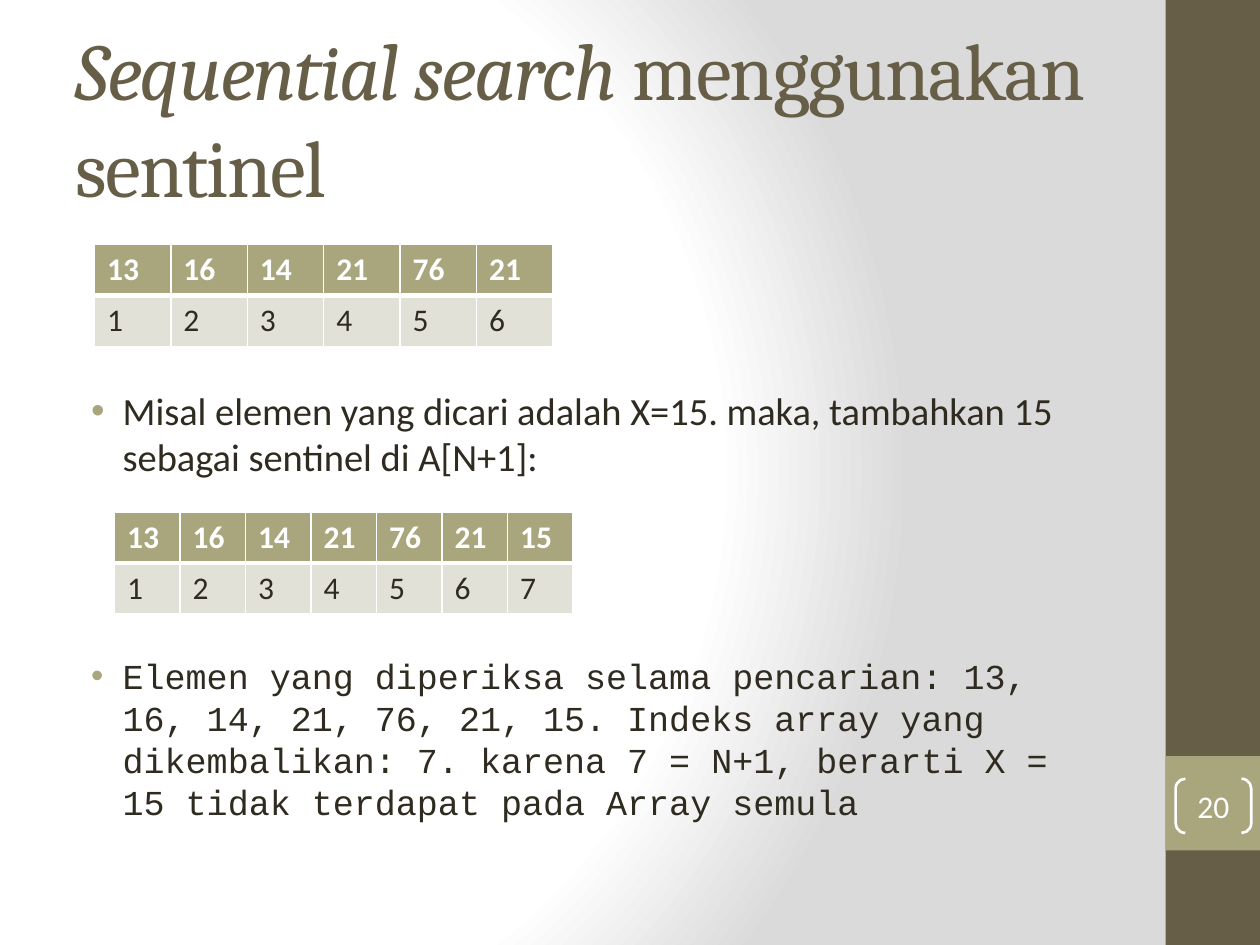
from dataclasses import dataclass

import lxml.etree
import pptx
import pptx.dml.color
import pptx.enum.shapes
import pptx.enum.text
import pptx.oxml
import pptx.oxml.ns
import pptx.util

Pt = pptx.util.Pt
qn = pptx.oxml.ns.qn
SHAPE = pptx.enum.shapes.MSO_SHAPE
ALIGN = pptx.enum.text.PP_ALIGN
ANCHOR = pptx.enum.text.MSO_ANCHOR


@dataclass(frozen=True)
class Theme:
    brown: str = "675E47"
    olive: str = "A9A57C"
    pale: str = "E2E1D7"
    ink: str = "2F2B20"
    white: str = "FFFFFF"
    gray: str = "DADADA"
    heading: str = "Cambria"
    body: str = "Calibri"
    mono: str = "Courier New"
    title_size: float = 46
    body_size: float = 22
    mono_size: float = 20
    cell_size: float = 18


@dataclass(frozen=True)
class Panel:
    top: float
    height: float
    color: str


@dataclass(frozen=True)
class ArrayTable:
    left: float
    top: float
    values: tuple[int, ...]


@dataclass(frozen=True)
class Bullet:
    text: str
    font: str
    size: float
    before: float


T = Theme()
PANEL_LEFT, PANEL_WIDTH = 666, 54
TABLE_WIDTH, ROW_HEIGHT = 262, 29.2

PANELS = (Panel(0, 540, T.brown), Panel(432, 54, T.olive))
TABLES = (
    ArrayTable(54, 139.7, (13, 16, 14, 21, 76, 21)),
    ArrayTable(65.5, 292.6, (13, 16, 14, 21, 76, 21, 15)),
)
BULLETS = (
    Bullet("Misal elemen yang dicari adalah X=15. maka, tambahkan 15 "
           "sebagai sentinel di A[N+1]:", T.body, T.body_size, 0),
    Bullet("Elemen yang diperiksa selama pencarian: 13, 16, 14, 21, 76, 21, 15. "
           "Indeks array yang dikembalikan: 7. karena 7 = N+1, berarti X = 15 "
           "tidak terdapat pada Array semula", T.mono, T.mono_size, 100),
)


def rgb(color: str) -> pptx.dml.color.RGBColor:
    return pptx.dml.color.RGBColor.from_string(color)


def set_font(font, name: str, size: float, color: str, bold: bool = False) -> None:
    font.name, font.size, font.bold = name, Pt(size), bold
    font.color.rgb = rgb(color)


def set_background(s) -> None:
    s.background.fill.gradient()
    old = next(s.element.iter(qn("a:gradFill")))
    stops = "".join(
        f'<a:gs pos="{pos * 1000}"><a:srgbClr val="{color}"/></a:gs>'
        for pos, color in ((0, T.white), (75, T.white), (100, T.gray))
    )
    new = pptx.oxml.parse_xml(
        f'<a:gradFill {pptx.oxml.ns.nsdecls("a")} rotWithShape="1">'
        f'<a:gsLst>{stops}</a:gsLst><a:path path="circle">'
        '<a:fillToRect l="20000" t="50000" r="100000" b="50000"/>'
        '</a:path></a:gradFill>'
    )
    old.getparent().replace(old, new)


def add_panel(s, panel: Panel) -> None:
    sp = s.shapes.add_shape(SHAPE.RECTANGLE, Pt(PANEL_LEFT), Pt(panel.top),
                            Pt(PANEL_WIDTH), Pt(panel.height))
    sp.shadow.inherit = False
    sp.fill.solid()
    sp.fill.fore_color.rgb = rgb(panel.color)
    sp.line.fill.background()


def format_title(s) -> None:
    sp = s.shapes.title
    sp.left, sp.top, sp.width, sp.height = Pt(36), Pt(21.6), Pt(600), Pt(90)
    tf = sp.text_frame
    tf.auto_size = pptx.enum.text.MSO_AUTO_SIZE.NONE
    tf.vertical_anchor = ANCHOR.MIDDLE
    p = tf.paragraphs[0]
    p.alignment = ALIGN.LEFT
    set_font(p.font, T.heading, T.title_size, T.brown)
    for text, italic in (("Sequential search ", True), ("menggunakan sentinel", False)):
        r = p.add_run()
        r.text = text
        r.font.italic = italic
        r.font._element.set("spc", "-100")


def add_bullets(s, bullets: tuple[Bullet, ...]) -> None:
    tf = s.shapes.add_textbox(Pt(36), Pt(217.7), Pt(600), Pt(286)).text_frame
    tf.word_wrap = True
    for i, bullet in enumerate(bullets):
        p = tf.add_paragraph() if i else tf.paragraphs[0]
        p.text = bullet.text
        p.space_before = Pt(bullet.before)
        set_font(p.font, bullet.font, bullet.size, T.ink)
        pPr = p._p.get_or_add_pPr()
        pPr.set("marL", str(Pt(27)))
        pPr.set("indent", str(Pt(-18)))
        marks = pptx.oxml.parse_xml(
            f'<a:pPr {pptx.oxml.ns.nsdecls("a")}>'
            f'<a:buClr><a:srgbClr val="{T.olive}"/></a:buClr>'
            '<a:buFont typeface="Arial"/><a:buChar char="&#8226;"/></a:pPr>'
        )
        defaults = pPr.find(qn("a:defRPr"))
        for mark in list(marks):
            defaults.addprevious(mark)


def set_borders(cell, top: float, bottom: float) -> None:
    tcPr = cell._tc.get_or_add_tcPr()
    for i, (side, width) in enumerate((("L", 1), ("R", 1), ("T", top), ("B", bottom))):
        ln = lxml.etree.Element(qn(f"a:ln{side}"), w=str(Pt(width)))
        fill = lxml.etree.SubElement(ln, qn("a:solidFill"))
        lxml.etree.SubElement(fill, qn("a:srgbClr"), val=T.white)
        tcPr.insert(i, ln)


def add_array(s, array: ArrayTable) -> None:
    count = len(array.values)
    table = s.shapes.add_table(2, count, Pt(array.left), Pt(array.top),
                               Pt(TABLE_WIDTH), Pt(2 * ROW_HEIGHT)).table
    for column in table.columns:
        column.width = Pt(TABLE_WIDTH / count)
    rows = (
        (array.values, T.olive, T.white, True, 1, 3),
        (range(1, count + 1), T.pale, T.ink, False, 3, 1),
    )
    for i, (values, fill, color, bold, top, bottom) in enumerate(rows):
        table.rows[i].height = Pt(ROW_HEIGHT)
        for j, value in enumerate(values):
            cell = table.cell(i, j)
            cell.text = str(value)
            cell.fill.solid()
            cell.fill.fore_color.rgb = rgb(fill)
            set_font(cell.text_frame.paragraphs[0].font, T.body, T.cell_size, color, bold)
            set_borders(cell, top, bottom)


def add_page_number(s, number: int) -> None:
    sp = s.shapes.add_shape(SHAPE.DOUBLE_BRACKET, Pt(671.8), Pt(445), Pt(43.2), Pt(31))
    sp.adjustments[0] = 0.18
    sp.shadow.inherit = False
    sp.fill.background()
    sp.line.color.rgb = rgb(T.white)
    sp.line.width = Pt(1.5)
    tf = sp.text_frame
    tf.margin_left = tf.margin_right = tf.margin_top = tf.margin_bottom = Pt(0)
    tf.vertical_anchor = ANCHOR.MIDDLE
    p = tf.paragraphs[0]
    p.text = str(number)
    p.alignment = ALIGN.CENTER
    set_font(p.font, T.body, T.cell_size, T.white)


prs = pptx.Presentation()
prs.slide_width, prs.slide_height = Pt(720), Pt(540)
s = prs.slides.add_slide(prs.slide_layouts[5])
set_background(s)
for panel in PANELS:
    add_panel(s, panel)
format_title(s)
add_bullets(s, BULLETS)
for array in TABLES:
    add_array(s, array)
add_page_number(s, 20)
prs.save("out.pptx")
